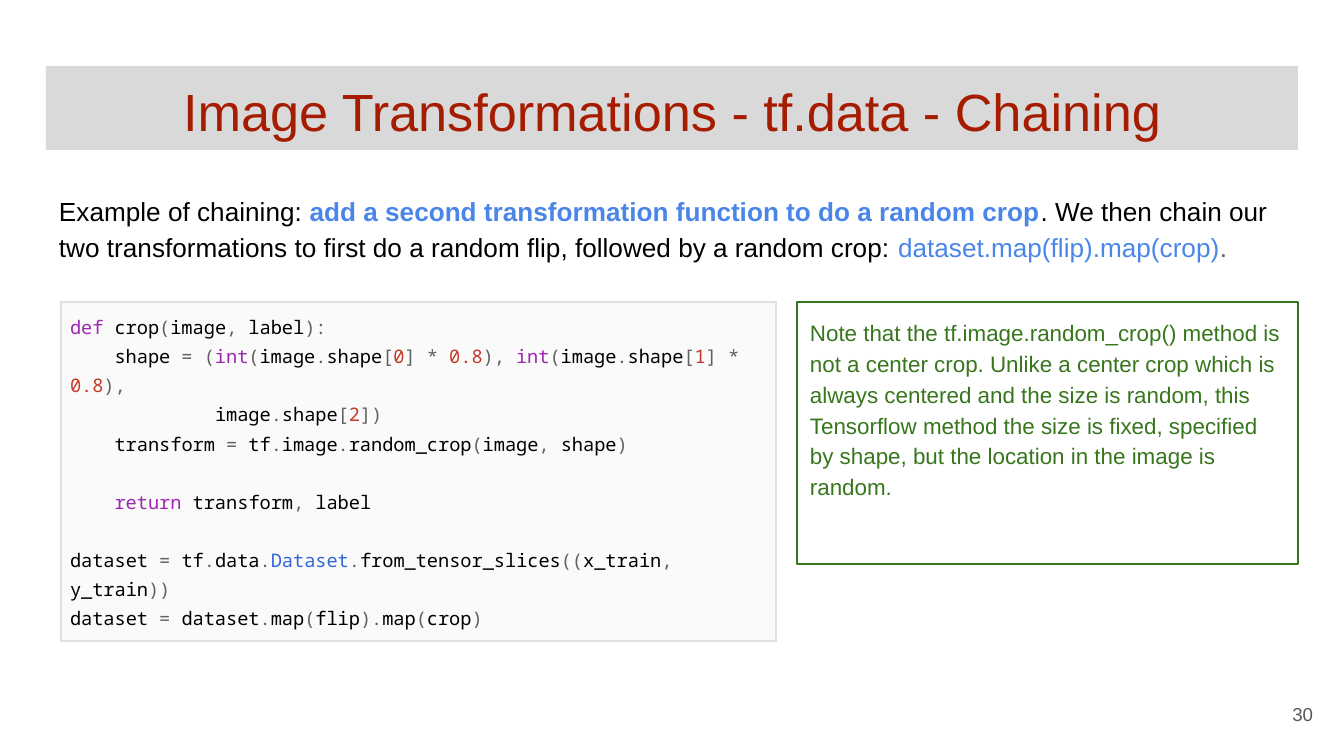
from itertools import groupby

from lxml.etree import SubElement
from pptx import Presentation
from pptx.dml.color import RGBColor
from pptx.enum.shapes import MSO_SHAPE
from pptx.enum.text import MSO_ANCHOR, PP_ALIGN
from pptx.oxml.ns import qn
from pptx.util import Emu, Pt

SLIDE_WIDTH, SLIDE_HEIGHT = 1344, 756
EMU_PER_PX = 9144000 / SLIDE_WIDTH

BLACK = RGBColor(0x00, 0x00, 0x00)
BAND_GRAY = RGBColor(0xD9, 0xD9, 0xD9)
TITLE_RED = RGBColor(0xA6, 0x1C, 0x00)
HIGHLIGHT_BLUE = RGBColor(0x4A, 0x86, 0xE8)
NUMBER_GRAY = RGBColor(0x59, 0x59, 0x59)
NOTE_GREEN = RGBColor(0x38, 0x76, 0x1D)
CODE_FILL = RGBColor(0xFA, 0xFA, 0xFA)
CODE_BORDER = RGBColor(0xE0, 0xE0, 0xE0)
PUNCTUATION_GRAY = RGBColor(0x61, 0x61, 0x61)
KEYWORD_PURPLE = RGBColor(0x9C, 0x27, 0xB0)
LITERAL_RED = RGBColor(0xC5, 0x39, 0x29)
CLASS_BLUE = RGBColor(0x33, 0x67, 0xD6)

TEXT_FONT, CODE_FONT = "Arial", "Noto Sans Mono"
LINE_SPACING = 1.15
CODE_SIZE = 10
WORD_COLORS = {
    "def": KEYWORD_PURPLE,
    "return": KEYWORD_PURPLE,
    "int": KEYWORD_PURPLE,
    "Dataset": CLASS_BLUE,
}

CODE = """\
def crop(image, label):
    shape = (int(image.shape[0] * 0.8), int(image.shape[1] * 0.8),
             image.shape[2])
    transform = tf.image.random_crop(image, shape)

    return transform, label

dataset = tf.data.Dataset.from_tensor_slices((x_train, y_train))
dataset = dataset.map(flip).map(crop)"""

NOTE = (
    "Note that the tf.image.random_crop() method is not a center crop. "
    "Unlike a center crop which is always centered and the size is random, "
    "this Tensorflow method the size is fixed, specified by shape, "
    "but the location in the image is random."
)


def px(length):
    return Emu(round(length * EMU_PER_PX))


def add_run(paragraph, text, size, color, font=TEXT_FONT, bold=False):
    run = paragraph.add_run()
    run.text = text
    run.font.name = font
    run.font.size = Pt(size)
    run.font.bold = bold
    run.font.color.rgb = color


def prepare_frame(frame, align=PP_ALIGN.LEFT, anchor=MSO_ANCHOR.TOP, spacing=None):
    """Set up a wrapping text frame and return its first paragraph."""
    frame.word_wrap = True
    frame.vertical_anchor = anchor
    frame.margin_left = frame.margin_right = px(13)
    frame.margin_top = frame.margin_bottom = px(13)
    paragraph = frame.paragraphs[0]
    paragraph.alignment = align
    paragraph.line_spacing = spacing
    return paragraph


def add_text(slide, box, **layout):
    textbox = slide.shapes.add_textbox(*map(px, box))
    return prepare_frame(textbox.text_frame, **layout)


def add_panel(slide, box, fill=None, line=None, **layout):
    panel = slide.shapes.add_shape(MSO_SHAPE.RECTANGLE, *map(px, box))
    panel.shadow.inherit = False
    if fill is None:
        panel.fill.background()
    else:
        panel.fill.solid()
        panel.fill.fore_color.rgb = fill
    if line is None:
        panel.line.fill.background()
    else:
        panel.line.color.rgb = line
        panel.line.width = Pt(0.75)
    return prepare_frame(panel.text_frame, **layout)


def code_tokens(line):
    """Split a line into words, numbers and the punctuation between them."""

    def in_word(index):
        char = line[index]
        decimal_point = char == "." and line[index - 1].isdigit()
        return char.isalnum() or char == "_" or decimal_point

    for is_word, indexes in groupby(range(len(line)), in_word):
        token = "".join(line[index] for index in indexes)
        if not is_word:
            yield token, PUNCTUATION_GRAY
        elif token[0].isdigit():
            yield token, LITERAL_RED
        else:
            yield token, WORD_COLORS.get(token, BLACK)


def set_borders(cell, color):
    properties = cell._tc.get_or_add_tcPr()
    # Borders come before the fill in the cell properties
    for position, side in enumerate(("lnL", "lnR", "lnT", "lnB")):
        border = SubElement(properties, qn(f"a:{side}"), w=str(Pt(1)))
        fill = SubElement(border, qn("a:solidFill"))
        SubElement(fill, qn("a:srgbClr"), val=str(color))
        properties.insert(position, border)


def add_code_table(slide, box, code):
    table = slide.shapes.add_table(1, 1, *map(px, box)).table
    table.first_row = table.horz_banding = False
    cell = table.cell(0, 0)
    cell.fill.solid()
    cell.fill.fore_color.rgb = CODE_FILL
    set_borders(cell, CODE_BORDER)
    cell.margin_left = cell.margin_right = px(9)
    cell.margin_top = cell.margin_bottom = px(9)

    frame = cell.text_frame
    for number, line in enumerate(code.splitlines()):
        paragraph = frame.add_paragraph() if number else frame.paragraphs[0]
        paragraph.line_spacing = LINE_SPACING
        for token, color in code_tokens(line):
            add_run(paragraph, token, CODE_SIZE, color, CODE_FONT)
        if not line:
            # Blank code lines keep the height of the code font
            end = SubElement(paragraph._p, qn("a:endParaRPr"), sz=str(CODE_SIZE * 100))
            SubElement(end, qn("a:latin"), typeface=CODE_FONT)


def main():
    presentation = Presentation()
    presentation.slide_width = px(SLIDE_WIDTH)
    presentation.slide_height = px(SLIDE_HEIGHT)
    slide = presentation.slides.add_slide(presentation.slide_layouts[6])

    # Title band
    title = add_panel(slide, (46, 66, 1252, 84), fill=BAND_GRAY, align=PP_ALIGN.CENTER)
    add_run(title, "Image Transformations - tf.data - Chaining", 28, TITLE_RED)

    # Slide number
    slide_number = add_text(
        slide, (1245, 685, 81, 58), align=PP_ALIGN.RIGHT, anchor=MSO_ANCHOR.MIDDLE
    )
    add_run(slide_number, "30", 10, NUMBER_GRAY)

    # Introduction
    intro = add_text(slide, (46, 178, 1252, 125), spacing=LINE_SPACING)
    add_run(intro, "Example of chaining: ", 14, BLACK)
    add_run(
        intro,
        "add a second transformation function to do a random crop",
        14,
        HIGHLIGHT_BLUE,
        bold=True,
    )
    add_run(
        intro,
        ". We then chain our two transformations to first do a random flip, "
        "followed by a random crop: ",
        14,
        BLACK,
    )
    add_run(intro, "dataset.map(flip).map(crop)", 14, HIGHLIGHT_BLUE)
    add_run(intro, ".", 14, PUNCTUATION_GRAY)

    # Code listing, tall enough for its wrapped lines, and the note beside it
    add_code_table(slide, (61, 302, 715, 339), CODE)
    note = add_panel(slide, (797, 302, 501, 262), line=NOTE_GREEN, spacing=LINE_SPACING)
    add_run(note, NOTE, 12, NOTE_GREEN)

    presentation.save("out.pptx")


if __name__ == "__main__":
    main()
